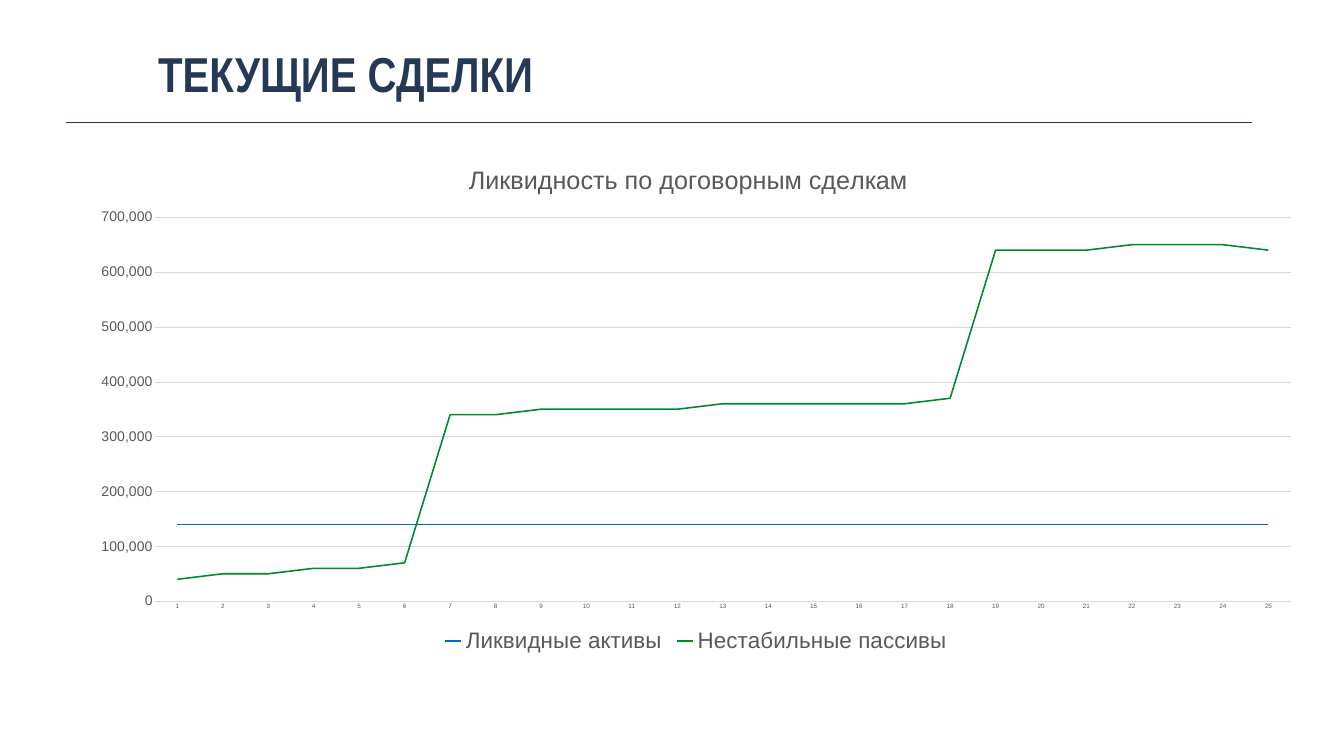
from dataclasses import dataclass

from lxml.etree import SubElement
from pptx import Presentation
from pptx.chart.data import CategoryChartData
from pptx.dml.color import RGBColor
from pptx.enum.chart import XL_CHART_TYPE as ChartType
from pptx.enum.chart import XL_LEGEND_POSITION as LegendPosition
from pptx.enum.chart import XL_TICK_MARK as TickMark
from pptx.enum.shapes import MSO_CONNECTOR as Connector
from pptx.enum.text import MSO_ANCHOR as Anchor
from pptx.oxml import parse_xml
from pptx.oxml.ns import nsdecls, qn
from pptx.util import Inches, Pt

WIDTH, HEIGHT = Inches(26.67), Inches(15)
NAVY, GRAY, GRID = "253957", "595959", "D9D9D9"


@dataclass
class Box:
    """Left, top, width and height in percent of the slide."""
    left: float
    top: float
    width: float
    height: float

    def lengths(self) -> tuple:
        return (across(self.left), down(self.top),
                across(self.width), down(self.height))


@dataclass
class Series:
    name: str
    color: str
    ten_thousands: list


HEADING = Box(11.47, -3.13, 67.3, 17.2)
CHART = Box(5.7, 18.93, 92.16, 68.13)
RULE_LEFT, RULE_RIGHT, RULE_TOP = 4.91, 93.12, 16.13

SERIES = [
    Series("Ликвидные активы", "0365C0", [14] * 25),
    Series("Нестабильные пассивы", "00882B", [
        4, 5, 5, 6, 6, 7,
        34, 34, 35, 35, 35, 35, 36, 36, 36, 36, 36, 37,
        64, 64, 64, 65, 65, 65, 64]),
]


def across(percent: float) -> int:
    return int(WIDTH * percent / 100)


def down(percent: float) -> int:
    return int(HEIGHT * percent / 100)


def rgb(color: str) -> RGBColor:
    return RGBColor.from_string(color)


def set_font(font, color: str, **values) -> None:
    for name, value in values.items():
        setattr(font, name, value)
    font.color.rgb = rgb(color)


def set_line(line, color: str, points: float) -> None:
    line.color.rgb = rgb(color)
    line.width = Pt(points)


def place(parent, index: int, inner: bool = False, **percents) -> None:
    """Give a chart part a fixed place, in percent of the chart."""
    for old in parent.findall(qn("c:layout")):
        parent.remove(old)
    layout = parse_xml(f"<c:layout {nsdecls('c')}><c:manualLayout/></c:layout>")
    manual = layout[0]
    if inner:
        SubElement(manual, qn("c:layoutTarget")).set("val", "inner")
    for mode in ("xMode", "yMode"):
        SubElement(manual, qn(f"c:{mode}")).set("val", "edge")
    for name, percent in percents.items():
        SubElement(manual, qn(f"c:{name}")).set("val", str(percent / 100))
    parent.insert(index, layout)


def add_heading(slide, text: str) -> None:
    frame = slide.shapes.add_textbox(*HEADING.lengths()).text_frame
    margins = {f"margin_{side}": Inches(0.08)
               for side in ("left", "top", "right", "bottom")}
    values = {"word_wrap": True, "vertical_anchor": Anchor.BOTTOM, **margins}
    for name, value in values.items():
        setattr(frame, name, value)
    run = frame.paragraphs[0].add_run()
    run.text = text
    set_font(run.font, NAVY, name="Arial Narrow", size=Pt(70), bold=True)


def add_rule(slide) -> None:
    rule = slide.shapes.add_connector(
        Connector.STRAIGHT, across(RULE_LEFT), down(RULE_TOP),
        across(RULE_RIGHT), down(RULE_TOP))
    set_line(rule.line, NAVY, 1)
    SubElement(rule._element.spPr, qn("a:effectLst"))


def style_axes(chart) -> None:
    for axis, size in ((chart.category_axis, 9), (chart.value_axis, 20)):
        axis.major_tick_mark = axis.minor_tick_mark = TickMark.NONE
        set_font(axis.tick_labels.font, GRAY, name="Arial", size=Pt(size))
    set_line(chart.category_axis.format.line, GRID, 0.75)
    values = chart.value_axis
    values.minimum_scale, values.maximum_scale = 0, 700_000
    values.major_unit = 100_000
    values.format.line.fill.background()
    values.has_major_gridlines = True
    set_line(values.major_gridlines.format.line, GRID, 0.75)
    values.tick_labels.number_format = "#,##0"
    values.tick_labels.number_format_is_linked = False


def add_title(chart, text: str) -> None:
    chart.has_title = True
    title = chart.chart_title
    title.include_in_layout = False
    run = title.text_frame.paragraphs[0].add_run()
    run.text = text
    set_font(run.font, GRAY, name="Arial", size=Pt(36), bold=False)
    place(title._element, 1, x=31.3, y=3.2)


def add_legend(chart) -> None:
    chart.has_legend = True
    legend = chart.legend
    legend.position = LegendPosition.BOTTOM
    legend.include_in_layout = False
    set_font(legend.font, GRAY, name="Arial", size=Pt(32))


def add_liquidity_chart(slide) -> None:
    data = CategoryChartData(number_format="#,##0")
    data.categories = [str(month) for month in range(1, 26)]
    for series in SERIES:
        data.add_series(
            series.name, [value * 10_000 for value in series.ten_thousands])
    chart = slide.shapes.add_chart(ChartType.LINE, *CHART.lengths(), data).chart
    set_font(chart.font, "000000", name="Arial", size=Pt(10))
    plot = chart.plots[0]
    plot.vary_by_categories = False
    for line, series in zip(plot.series, SERIES):
        line.smooth = False
        set_line(line.format.line, series.color, 2.25)
    style_axes(chart)
    add_title(chart, "Ликвидность по договорным сделкам")
    add_legend(chart)
    plot_area = chart._chartSpace.chart.plotArea
    place(plot_area, 0, inner=True, x=6.3, y=14.4, w=91.75, h=74.55)


def main() -> None:
    presentation = Presentation()
    presentation.slide_width, presentation.slide_height = WIDTH, HEIGHT
    slide = presentation.slides.add_slide(presentation.slide_layouts[6])
    add_rule(slide)
    add_heading(slide, "ТЕКУЩИЕ СДЕЛКИ")
    add_liquidity_chart(slide)
    presentation.save("out.pptx")


if __name__ == "__main__":
    main()
